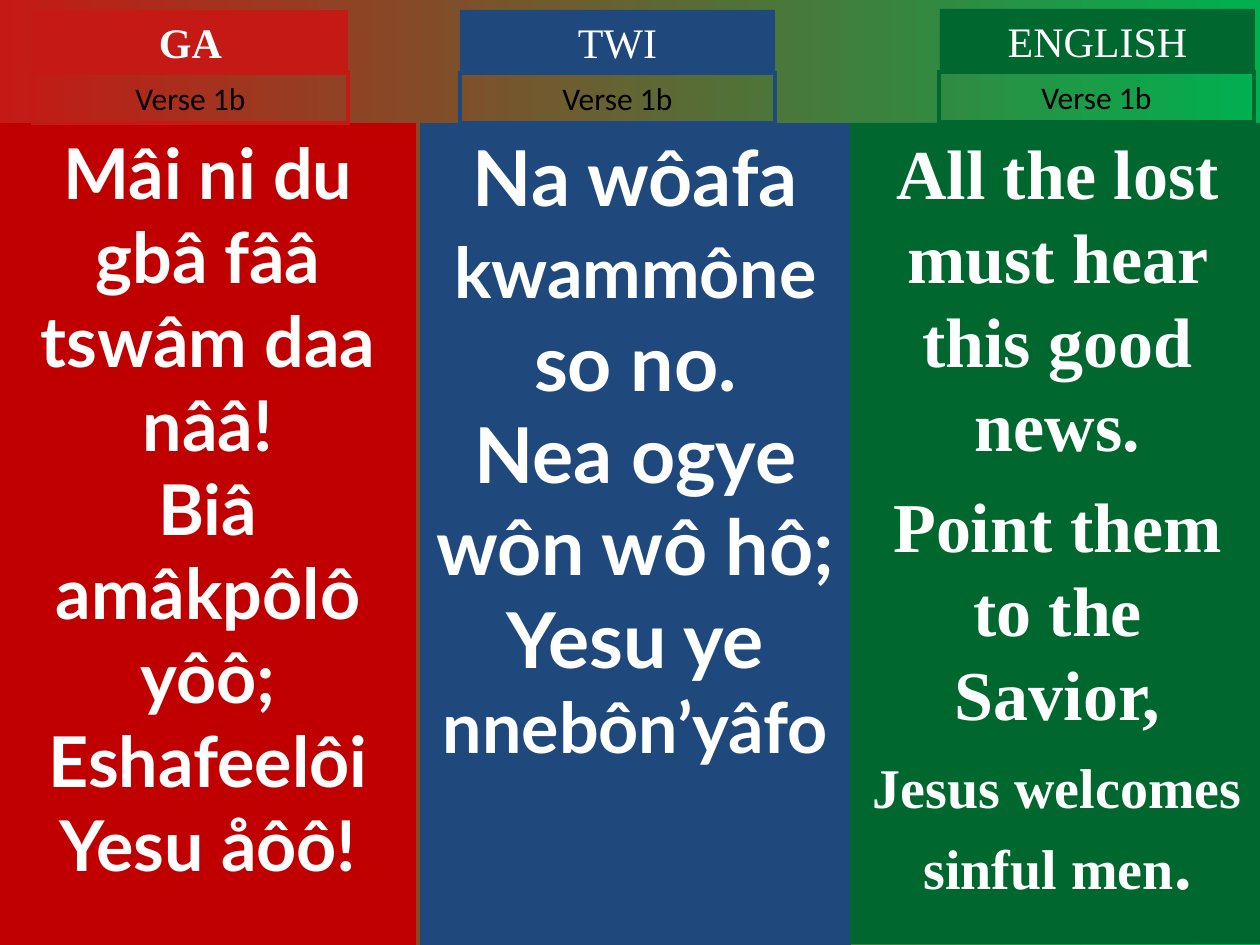
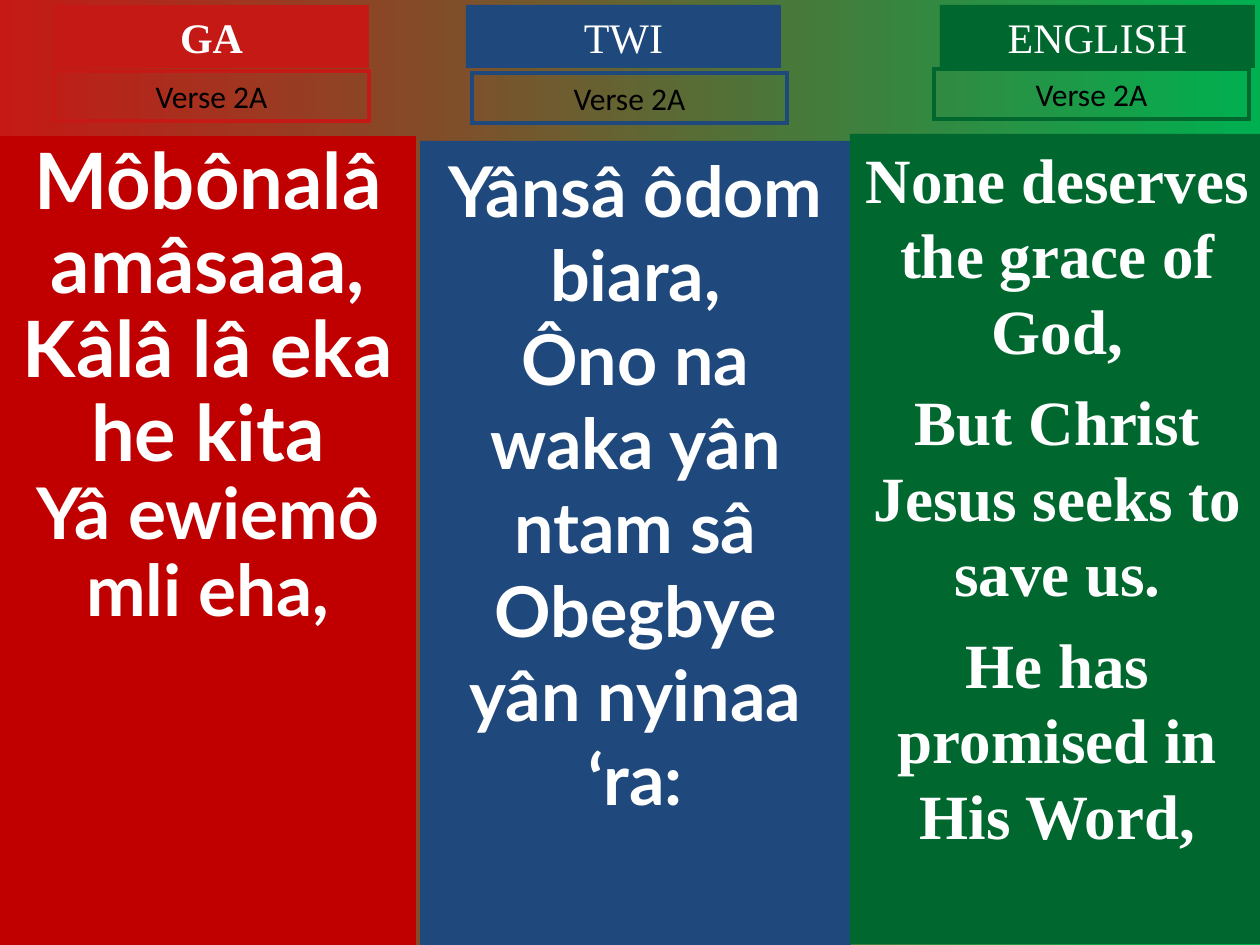
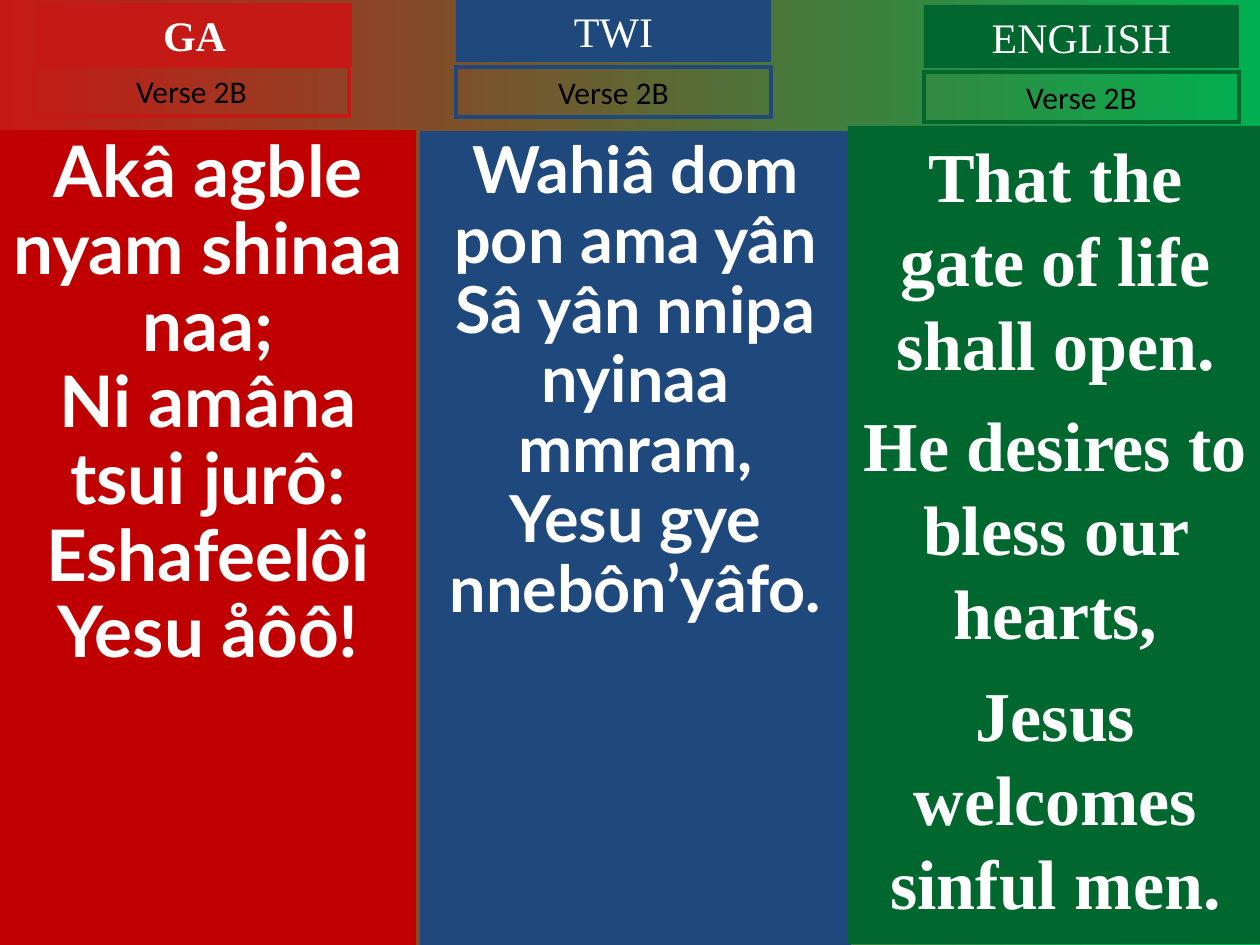
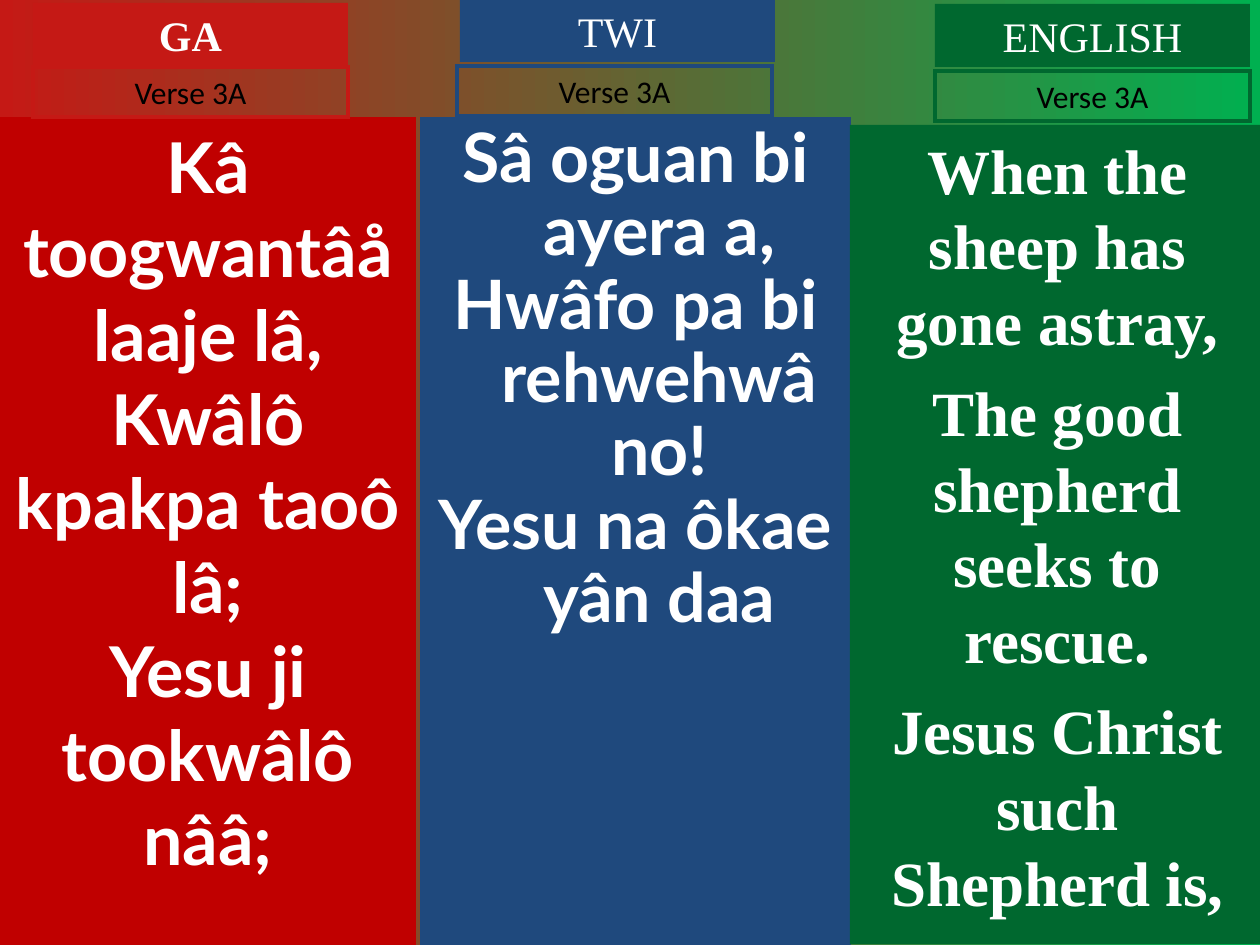
from dataclasses import dataclass

from lxml import etree
from pptx import Presentation
from pptx.dml.color import RGBColor
from pptx.enum.shapes import MSO_SHAPE
from pptx.enum.text import MSO_ANCHOR, MSO_AUTO_SIZE, PP_ALIGN
from pptx.oxml.ns import qn
from pptx.util import Pt

RECTANGLE = MSO_SHAPE.RECTANGLE
TOP = MSO_ANCHOR.TOP
CENTER = PP_ALIGN.CENTER
NO_AUTOFIT = MSO_AUTO_SIZE.NONE
PX = 914400 / 126


@dataclass(frozen=True)
class Theme:
    red: str = "C51915"
    deep_red: str = "C00000"
    blue: str = "1F497D"
    green: str = "00682F"
    bright_green: str = "00B050"
    white: str = "FFFFFF"
    black: str = "000000"
    lyric_font: str = "Lato"
    serif_font: str = "Times New Roman"
    label_font: str = "Calibri"
    heading_size: int = 24
    label_size: int = 18
    outline: float = 2.25


theme = Theme()

# Shared columns: language, banner colour, column colour, lyric font,
# column width, column bottom, bold heading
LANGUAGES = [
    ("GA", theme.red, theme.deep_red, theme.lyric_font, 416, 945, True),
    ("TWI", theme.blue, theme.blue, theme.lyric_font, 431, 945, False),
    ("ENGLISH", theme.green, theme.green, theme.serif_font, 415, 944, False),
]
BANNER_WIDTH, HEADING_HEIGHT, LABEL_HEIGHT = 315, 63, 50

# Each column: heading corner, label corner, column corner, line spacing,
# space between paragraphs, hanging indent, paragraphs of (text, size) runs
VERSES = [
    ("Verse 1b", [
        ((33, 10), (33, 73), (0, 123), 1, 0, 0, [
            [("Mâi ni du gbâ fââ tswâm daa nââ!", 40)],
            [("Biâ amâkpôlô yôô;", 40)],
            [("Eshafeelôi Yesu åôô!", 40)]]),
        ((460, 10), (460, 73), (420, 123), 1, 0, 0, [
            [("Na wôafa ", 44), ("kwammône", 40), (" so no.", 44)],
            [("Nea ogye wôn wô hô;", 44)],
            [("Yesu ye ", 44), ("nnebôn’yâfo", 40)]]),
        ((940, 9), (939, 72), (850, 123), 1, 10, 0, [
            [("All the lost must hear this good news.", 40)],
            [("Point them to the Savior,", 40)],
            [("Jesus welcomes sinful men", 32), (".", 40)]]),
    ]),
    ("Verse 2A", [
        ((54, 5), (54, 71), (0, 136), 0.9, 0, 0, [
            [("Môbônalâ amâsaaa,", 44.4)],
            [("Kâlâ lâ eka he kita", 44.4)],
            [("Yâ ewiemô mli eha,", 40.7)]]),
        ((466, 5), (472, 73), (420, 141), 1, 0, 0, [
            [("Yânsâ ôdom biara,", 40)],
            [("Ôno na waka yân ntam sâ", 40)],
            [("Obegbye yân nyinaa ‘ra:", 40)]]),
        ((940, 5), (934, 69), (850, 134), 1, 9, 0, [
            [("None deserves the grace of God,", 36)],
            [("But Christ Jesus seeks to save us.", 36)],
            [("He has promised in His Word,", 36)]]),
    ]),
    ("Verse 2B", [
        ((37, 3), (34, 66), (0, 130), 0.9, 0, 0, [
            [("Akâ agble nyam shinaa naa;", 40.6)],
            [("Ni amâna tsui jurô:", 40.6)],
            [("Eshafeelôi Yesu åôô!", 40.6)]]),
        ((456, -1), (456, 67), (420, 131), 0.9, 0, 0, [
            [("Wahiâ dom pon ama yân", 37)],
            [("Sâ yân nnipa nyinaa mmram,", 37)],
            [("Yesu gye nnebôn’yâfo.", 37)]]),
        ((924, 5), (924, 72), (848, 126), 1, 10, 0, [
            [("That the gate of life shall open.", 40)],
            [("He desires to bless our hearts,", 40)],
            [("Jesus welcomes sinful men.", 40)]]),
    ]),
    ("Verse 3A", [
        ((33, 3), (33, 67), (0, 117), 1, 0, 0, [
            [("Kâ toogwantâå laaje lâ,", 40)],
            [("Kwâlô kpakpa taoô lâ;", 40)],
            [("Yesu ji tookwâlô nââ;", 40)]]),
        ((460, -1), (457, 66), (420, 117), 0.9, 0, 48, [
            [("Sâ oguan bi ayera a,", 38.9)],
            [("Hwâfo pa bi rehwehwâ no!", 38.9)],
            [("Yesu na ôkae yân daa", 38.9)]]),
        ((935, 4), (935, 71), (850, 125), 1, 9, 0, [
            [("When the sheep has gone astray,", 36)],
            [("The good shepherd seeks to rescue.", 36)],
            [("Jesus Christ such Shepherd is,", 36)]]),
    ]),
]


def place(page, holder, corner, width, height, fill=None, outline=None):
    """Put a placeholder, or a new rectangle, at a corner and style it."""
    left, top, width, height = (round(n * PX) for n in (*corner, width, height))
    if holder is None:
        box = page.shapes.add_shape(RECTANGLE, left, top, width, height)
        box.shadow.inherit = False
    else:
        box = holder
        box.left, box.top, box.width, box.height = left, top, width, height
    if fill:
        box.fill.solid()
        box.fill.fore_color.rgb = RGBColor.from_string(fill)
    else:
        box.fill.background()
    if outline:
        box.line.color.rgb = RGBColor.from_string(outline)
        box.line.width = Pt(theme.outline)
        etree.SubElement(box.get_or_add_ln(), qn("a:miter"), lim="800000")
    else:
        box.line.fill.background()
    frame = box.text_frame
    frame.word_wrap = True
    frame.auto_size = NO_AUTOFIT
    frame.vertical_anchor = TOP
    return box


def write(box, paras, font, color, bold, spacing=1, gap=0, hanging=0):
    """Fill a box with centred paragraphs of (text, size) runs."""
    frame = box.text_frame
    for index, runs in enumerate(paras):
        para = frame.add_paragraph() if index else frame.paragraphs[0]
        if box.is_placeholder:
            properties = para._p.get_or_add_pPr()
            properties.set("marL", str(round(hanging * PX)))
            properties.set("indent", str(round(-hanging * PX)))
            etree.SubElement(properties, qn("a:buNone"))
        para.alignment = CENTER
        para.line_spacing = float(spacing)
        para.space_before = Pt(gap if index else 0)
        for text, size in runs:
            span = para.add_run()
            span.text = text
            span.font.name = font
            span.font.size = Pt(size)
            span.font.bold = bold
            span.font.color.rgb = RGBColor.from_string(color)


deck = Presentation()
deck.slide_width = round(1260 * PX)
deck.slide_height = round(945 * PX)

# Red to green background, shared through the master
backdrop = deck.slide_master.background.fill
backdrop.gradient()
backdrop.gradient_angle = 0
for stop, color, position in zip(
        backdrop.gradient_stops, (theme.red, theme.bright_green), (0, 1)):
    stop.color.rgb = RGBColor.from_string(color)
    stop.position = position

two_content = deck.slide_layouts.get_by_name("Two Content")

for verse, columns in VERSES:
    page = deck.slides.add_slide(two_content)
    title, ga_body, twi_body = list(page.placeholders)[:3]
    for extra in list(page.placeholders)[3:]:
        extra._element.getparent().remove(extra._element)

    for language, column, heading_holder, body_holder in zip(
            LANGUAGES, columns, (title, None, None), (ga_body, twi_body, None)):
        name, banner, fill, font, width, bottom, bold = language
        heading_at, label_at, column_at, spacing, gap, hanging, lyrics = column

        # Lyrics column
        box = place(page, body_holder, column_at, width, bottom - column_at[1],
                    fill=fill)
        write(box, lyrics, font, theme.white, True, spacing, gap, hanging)

        # Language heading
        box = place(page, heading_holder, heading_at, BANNER_WIDTH, HEADING_HEIGHT,
                    fill=banner)
        write(box, [[(name, theme.heading_size)]], theme.serif_font,
              theme.white, bold)

        # Verse label
        box = place(page, None, label_at, BANNER_WIDTH, LABEL_HEIGHT, outline=banner)
        write(box, [[(verse, theme.label_size)]], theme.label_font,
              theme.black, False)

deck.save("out.pptx")
